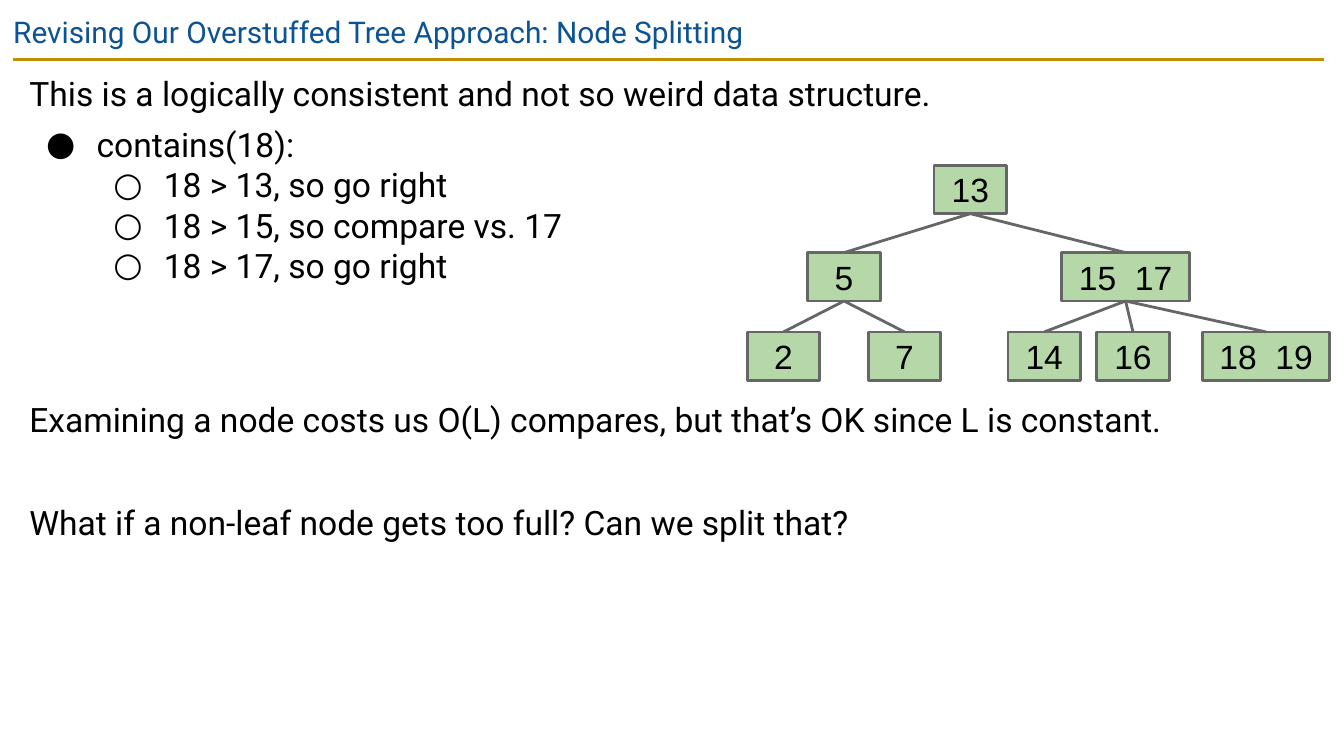
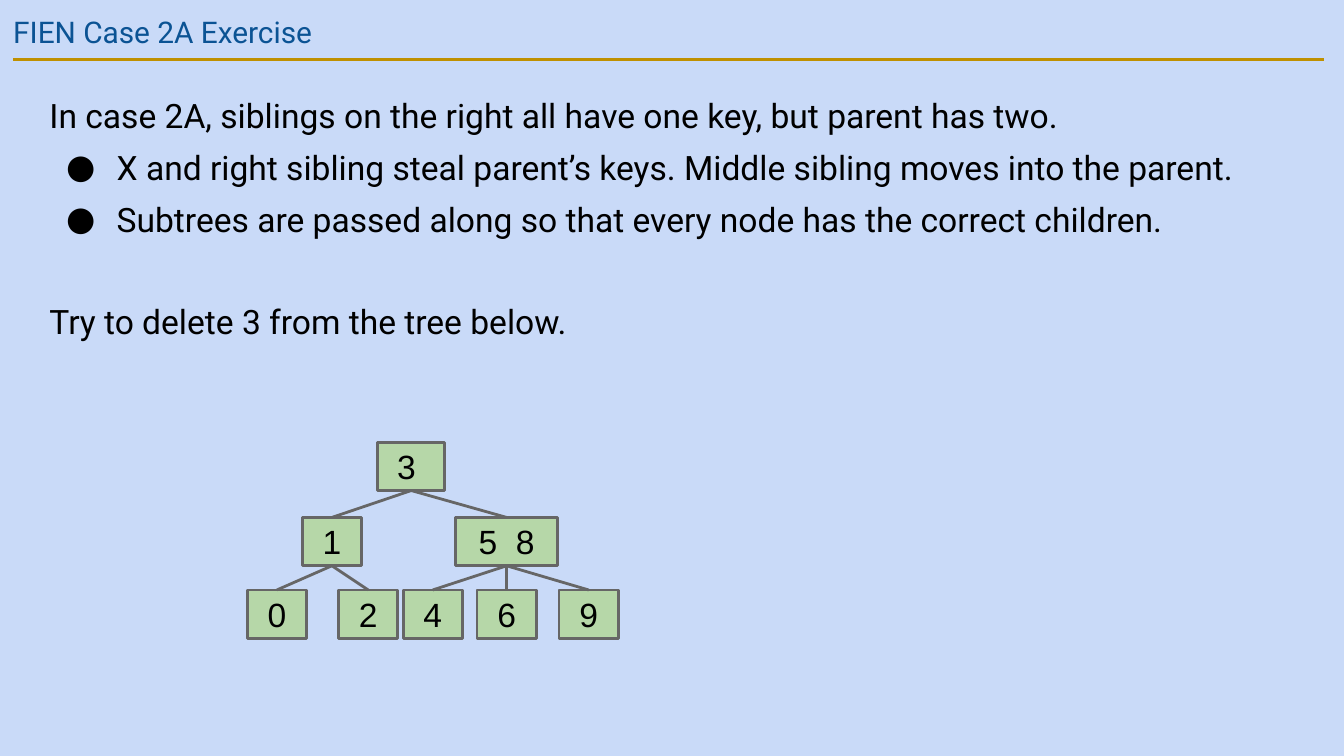
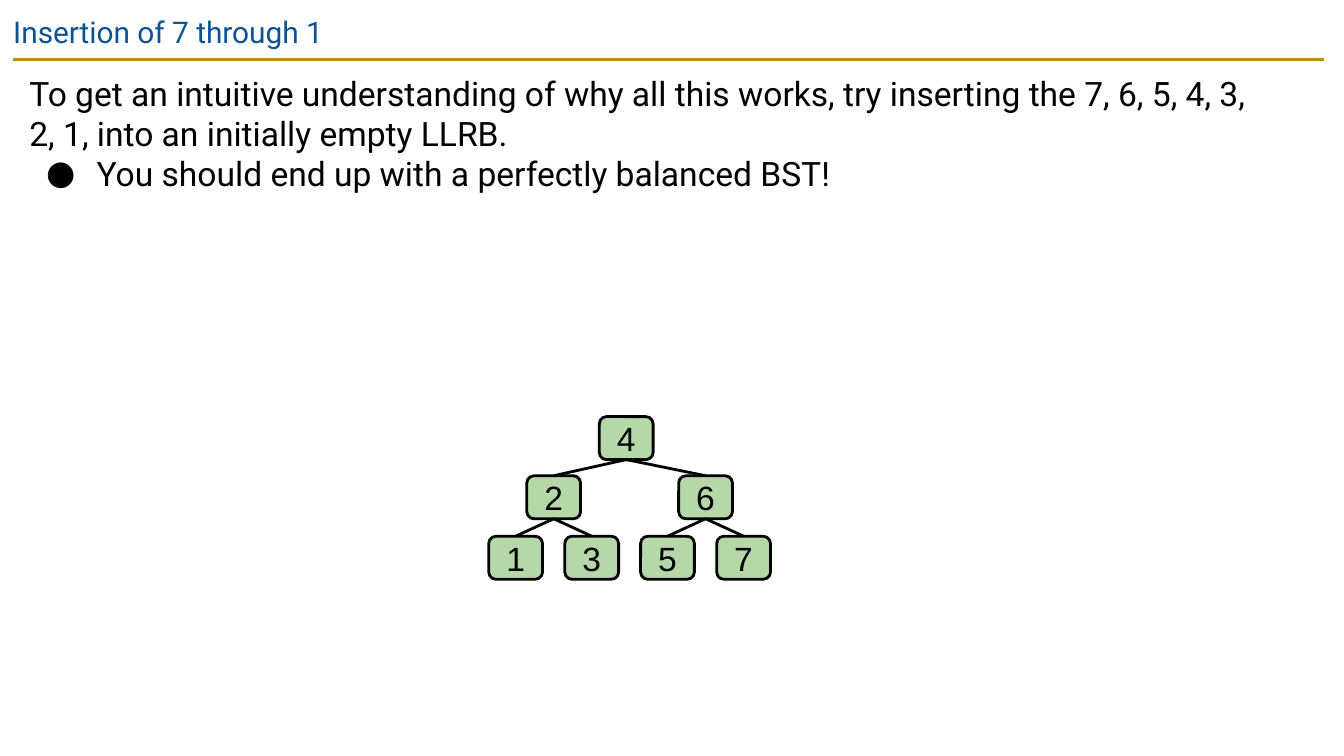
"""Build three slides on search trees, laid out on a grid of 100 columns."""
import dataclasses

import lxml.etree
import pptx
import pptx.dml.color
import pptx.enum.shapes
import pptx.enum.text
import pptx.oxml.ns
import pptx.util

RGB = pptx.dml.color.RGBColor
WHITE = RGB(0xFF, 0xFF, 0xFF)
BLACK = RGB(0x00, 0x00, 0x00)
PALE = RGB(0xC9, 0xDA, 0xF8)
BLUE = RGB(0x0B, 0x53, 0x94)
GOLD = RGB(0xBF, 0x90, 0x00)
GREEN = RGB(0xB6, 0xD7, 0xA8)
GREY = RGB(0x66, 0x66, 0x66)

COLS, ROWS = 100, 56.25
SHAPES = pptx.enum.shapes.MSO_SHAPE
MARKS = {1: "●", 2: "○"}
GAP = 6
BLANK = 33.5


@dataclasses.dataclass
class Node:
    """A tree node: its keys, centre column, width and children."""
    keys: list
    mid: float
    wide: float
    kids: list = dataclasses.field(default_factory=list)


class Deck:
    """Holds the style and the current slide."""

    def __init__(self):
        self.show = pptx.Presentation()
        self.show.slide_width = pptx.util.Inches(10)
        self.show.slide_height = pptx.util.Inches(5.625)

    def col(self, count):
        return round(self.show.slide_width * count / COLS)

    def row(self, count):
        return round(self.show.slide_height * count / ROWS)

    def place(self, left, top, wide, tall):
        return self.col(left), self.row(top), self.col(wide), self.row(tall)

    def page(self, title, back=WHITE):
        self.slide = self.show.slides.add_slide(self.show.slide_layouts[6])
        self.slide.background.fill.solid()
        self.slide.background.fill.fore_color.rgb = back
        rule = self.line(GOLD)
        rule.begin_x, rule.end_x = self.col(1), self.col(98.5)
        rule.begin_y = rule.end_y = self.row(4.4)
        self.text((0, 0, 93.2, 4.3), [(title, 0, 0)], 16, BLUE)

    def line(self, tint):
        link = self.slide.shapes.add_connector(
            pptx.enum.shapes.MSO_CONNECTOR.STRAIGHT, 0, 0, 0, 0)
        link.line.color.rgb = tint
        link.line.width = pptx.util.Pt(1.5)
        lxml.etree.SubElement(link._element.spPr, pptx.oxml.ns.qn("a:effectLst"))
        return link

    def frame(self, shape):
        frame = shape.text_frame
        frame.word_wrap = True
        frame.margin_left = frame.margin_right = self.col(1)
        frame.margin_top = frame.margin_bottom = self.row(1)
        return frame

    def run(self, para, text, face, size, tint):
        run = para.add_run()
        run.text = text
        run.font.name = face
        run.font.size = pptx.util.Pt(size)
        run.font.color.rgb = tint
        return run

    def mark(self, para, level):
        props = para._p.get_or_add_pPr()
        props.set("marL", str(self.col(5 * level)))
        props.set("indent", str(-self.col(3.75)))
        make, name = lxml.etree.SubElement, pptx.oxml.ns.qn
        make(make(props, name("a:buClr")), name("a:srgbClr"), val=str(BLACK))
        make(props, name("a:buFont"), typeface="Roboto")
        make(props, name("a:buChar"), char=MARKS[level])
        para.level = level - 1

    def text(self, spot, lines, size=18, tint=BLACK):
        frame = self.frame(self.slide.shapes.add_textbox(*self.place(*spot)))
        for i, (words, level, gap) in enumerate(lines):
            para = frame.add_paragraph() if i else frame.paragraphs[0]
            if level:
                self.mark(para, level)
            para.space_before = pptx.util.Pt(gap)
            self.run(para, words, "Roboto", size, tint)

    def box(self, node, top, tall, kind, edge):
        spot = self.place(node.mid - node.wide / 2, top, node.wide, tall)
        shape = self.slide.shapes.add_shape(kind, *spot)
        shape.shadow.inherit = False
        shape.fill.solid()
        shape.fill.fore_color.rgb = GREEN
        shape.line.color.rgb = edge
        shape.line.width = pptx.util.Pt(1.5)
        frame = self.frame(shape)
        frame.vertical_anchor = pptx.enum.text.MSO_ANCHOR.MIDDLE
        para = frame.paragraphs[0]
        para.alignment = pptx.enum.text.PP_ALIGN.CENTER
        for i, key in enumerate(node.keys):
            if i:
                space = self.run(para, " ", "Arial", 18, BLACK)
                space.font._element.set("spc", "500")
            self.run(para, key, "Arial", 18, BLACK)
        return shape

    def tree(self, node, tops, tall=3.6, kind=SHAPES.RECTANGLE, edge=GREY):
        shape = self.box(node, tops[0], tall, kind, edge)
        for kid in node.kids:
            child = self.tree(kid, tops[1:], tall, kind, edge)
            link = self.line(edge)
            link.begin_connect(shape, 2)
            link.end_connect(child, 0)
        return shape


def split(deck):
    deck.page("Revising Our Overstuffed Tree Approach: Node Splitting")
    deck.text((1.2, 4.4, 93.2, 37.4), [
        ("This is a logically consistent and not so weird data structure.", 0, 0),
        ("contains(18):", 1, GAP),
        ("18 > 13, so go right", 2, 0),
        ("18 > 15, so compare vs. 17", 2, 0),
        ("18 > 17, so go right", 2, 0),
        ("Examining a node costs us O(L) compares, but that’s OK since L is constant.",
         0, 2 * BLANK - GAP),
        ("What if a non-leaf node gets too full? Can we split that?", 0, BLANK),
    ])
    one, two = 5.4, 9.5
    left = Node(["5"], 62.8, one, [Node(["2"], 58.3, one), Node(["7"], 67.3, one)])
    right = Node(["15", "17"], 83.75, two, [
        Node(["14"], 77.7, one),
        Node(["16"], 84.3, one),
        Node(["18", "19"], 94.2, two),
    ])
    deck.tree(Node(["13"], 72.2, one, [left, right]), (12.3, 18.8, 24.7))


def drill(deck):
    deck.page("FIEN Case 2A Exercise", PALE)
    deck.text((2.7, 6.1, 96.4, 24.6), [
        ("In case 2A, siblings on the right all have one key, but parent has two.", 0, 0),
        ("X and right sibling steal parent’s keys. Middle sibling moves into the parent.",
         1, GAP),
        ("Subtrees are passed along so that every node has the correct children.", 1, GAP),
        ("Try to delete 3 from the tree below.", 0, BLANK),
    ])
    one = 4.4
    left = Node(["1"], 24.7, one, [Node(["0"], 20.6, one), Node(["2"], 27.4, one)])
    right = Node(["5", "8"], 37.7, 7.6, [
        Node([key], mid, one) for key, mid in (("4", 32.2), ("6", 37.7), ("9", 43.8))])
    deck.tree(Node(["3 "], 30.6, 5, [left, right]), (32.9, 38.5, 43.9))


def insert(deck):
    deck.page("Insertion of 7 through 1")
    deck.text((1.2, 4.4, 93.2, 37.4), [
        ("To get an intuitive understanding of why all this works, try inserting "
         "the 7, 6, 5, 4, 3, 2, 1, into an initially empty LLRB.", 0, 0),
        ("You should end up with a perfectly balanced BST!", 1, 0),
    ])
    wide, half = 4, 2.83
    pairs = [
        Node([str(key)], mid, wide,
             [Node([str(key + side)], mid + side * half, wide) for side in (-1, 1)])
        for key, mid in ((2, 41.2), (6, 52.5))]
    deck.tree(Node(["4"], 46.6, wide, pairs), (31, 35.4, 39.9), 3.2,
              SHAPES.ROUNDED_RECTANGLE, BLACK)


def main():
    deck = Deck()
    for build in (split, drill, insert):
        build(deck)
    deck.show.save("out.pptx")


if __name__ == "__main__":
    main()
